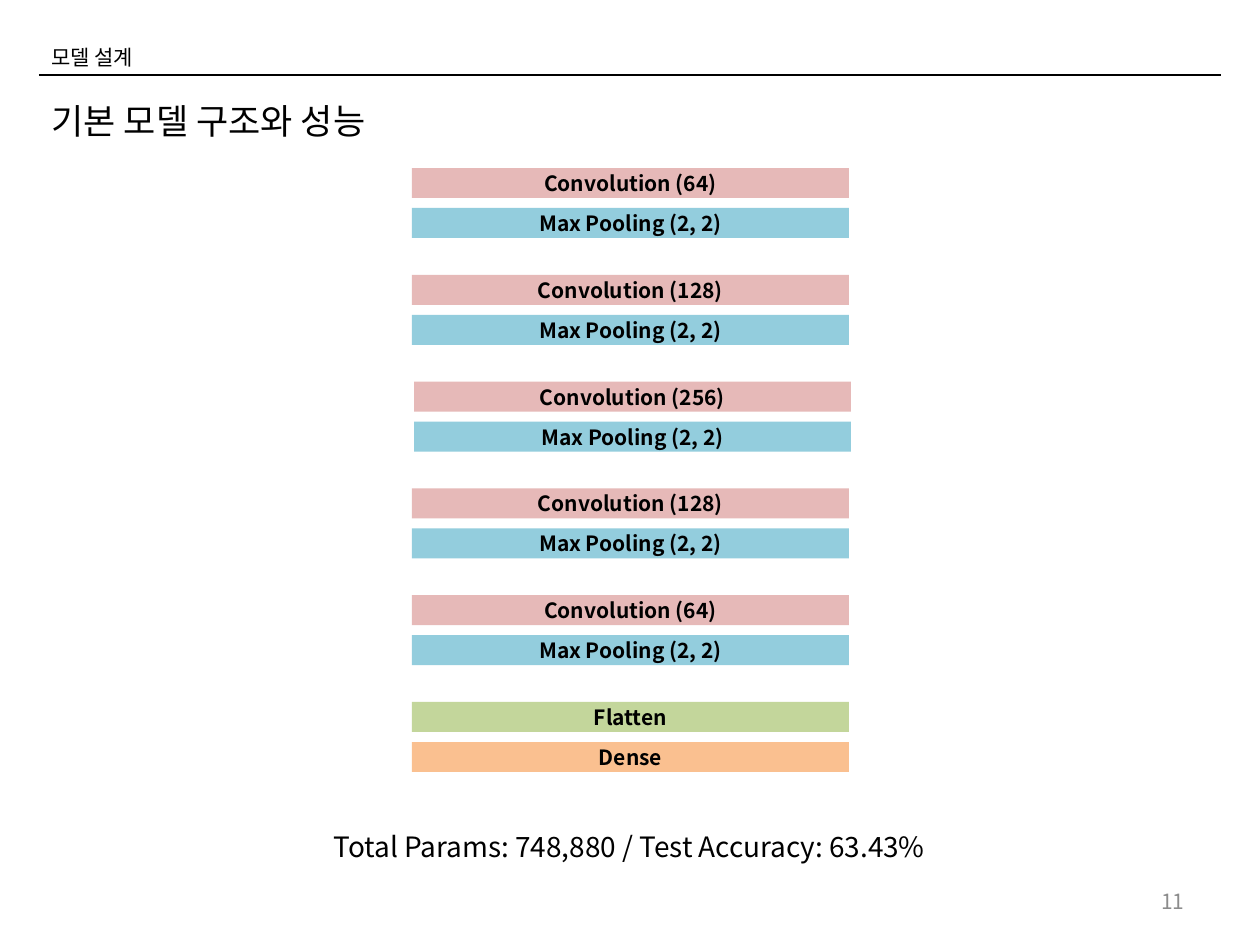
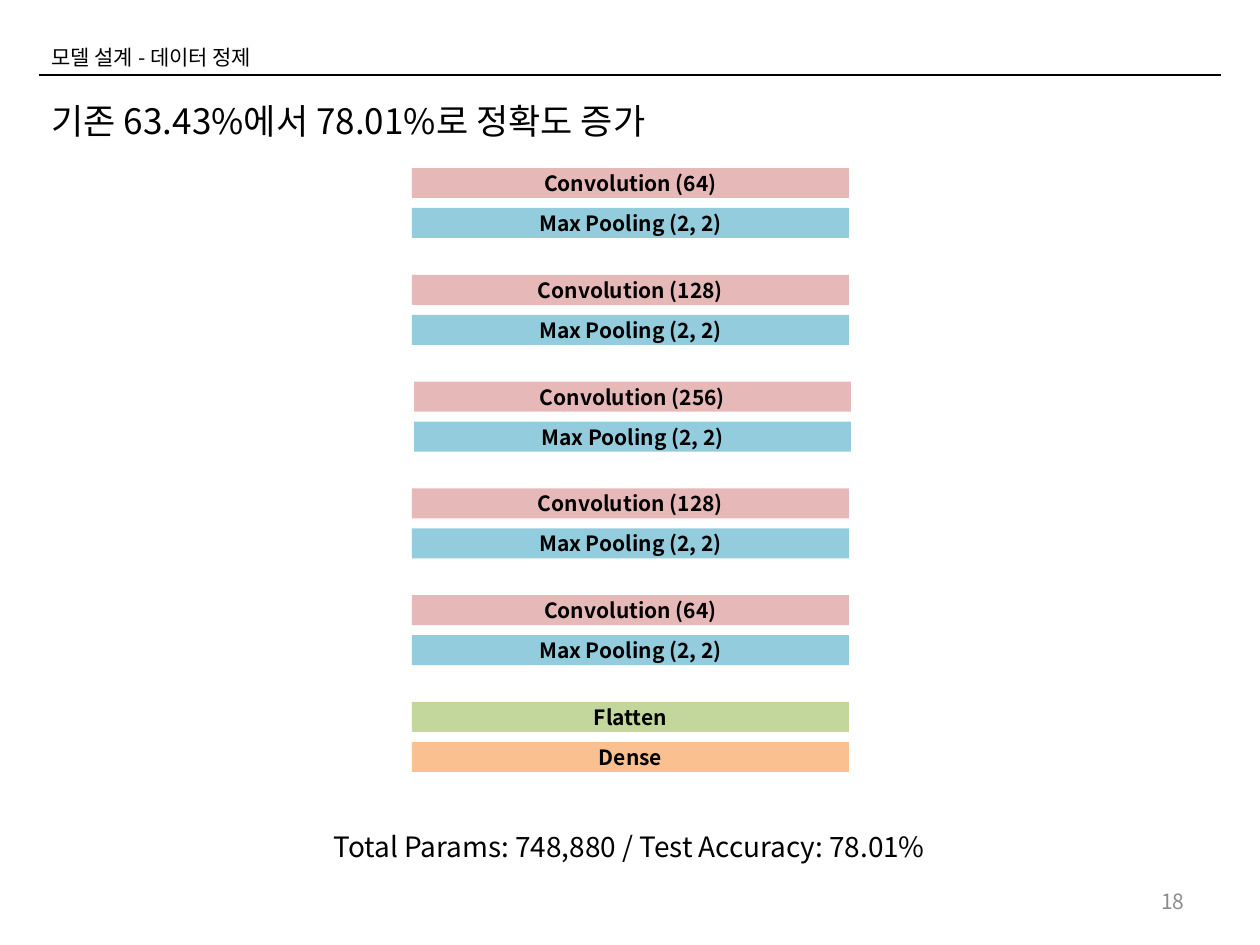
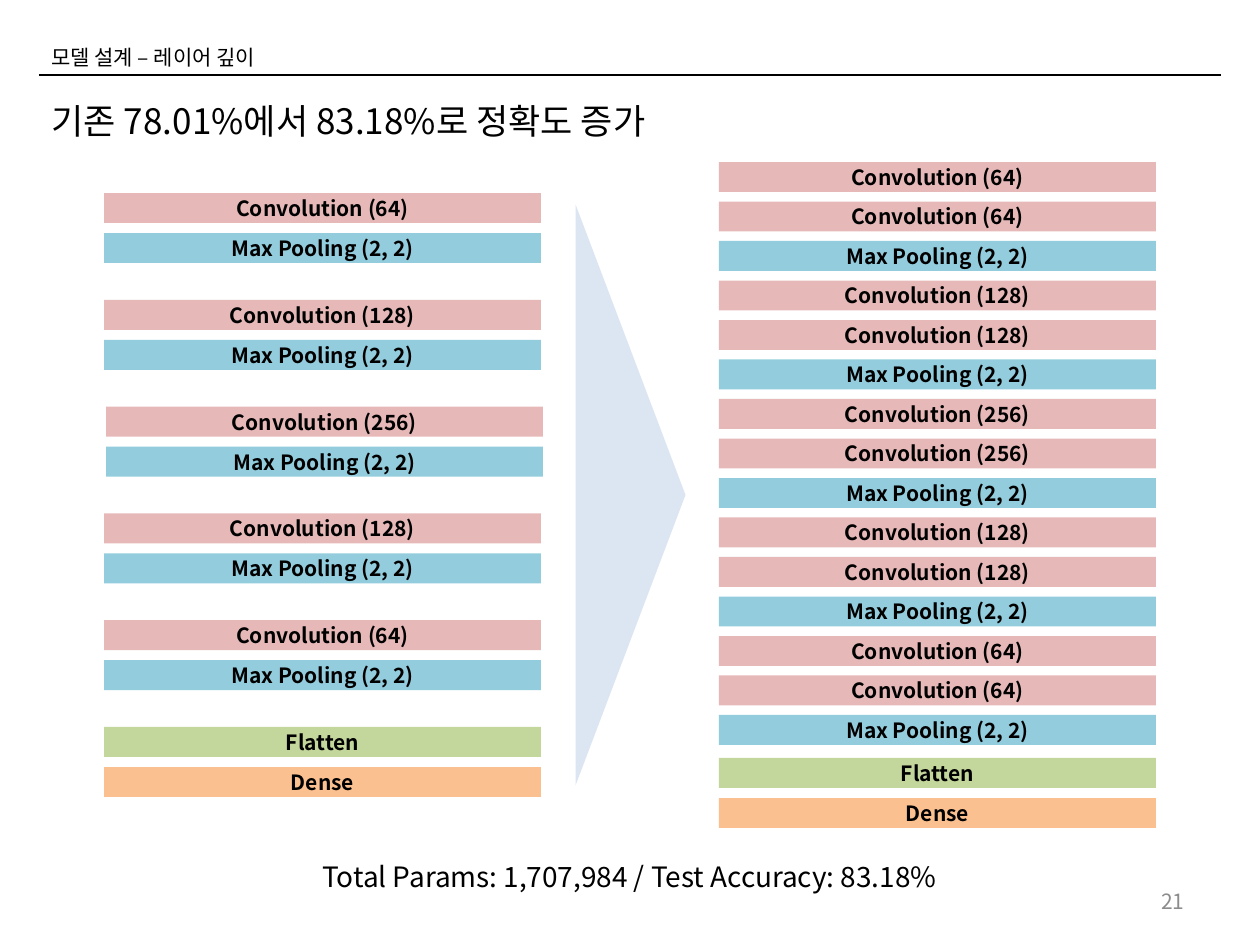
from lxml.etree import SubElement
from pptx import Presentation
from pptx.dml.color import RGBColor
from pptx.enum.shapes import MSO_CONNECTOR, MSO_SHAPE
from pptx.enum.text import MSO_ANCHOR, MSO_AUTO_SIZE, PP_ALIGN
from pptx.oxml.ns import qn
from pptx.util import Emu, Pt

# Shared style
SCALE = 914400 / 126
FONT = "Noto Sans CJK KR"
BLACK = RGBColor(0x00, 0x00, 0x00)
GRAY = RGBColor(0x8C, 0x8C, 0x8C)
PINK = RGBColor(0xE6, 0xB9, 0xB8)
BLUE = RGBColor(0x93, 0xCD, 0xDD)
GREEN = RGBColor(0xC3, 0xD6, 0x9B)
ORANGE = RGBColor(0xFA, 0xC0, 0x90)
PALE_BLUE = RGBColor(0xDC, 0xE6, 0xF2)

TITLE = {"size": Pt(20), "bold": False}
SECTION = {"size": Pt(12)}
RESULT = {"size": Pt(16)}
NUMBER = {"size": Pt(12)}
LAYER = {"size": Pt(12), "bold": True}

# Layer bars
BAR_W, BAR_H = 437, 30
PAIR_STEP = 40
BLOCK_SPAN = 534
FILTERS = [64, 128, 256, 128, 64]
POOLING = ("Max Pooling (2, 2)", BLUE)
ENDING = [("Flatten", GREEN), ("Dense", ORANGE)]


def px(n):
    return Emu(round(n * SCALE))


def convolution(filters):
    return f"Convolution ({filters})", PINK


def write(sp, text, style, color=BLACK, align=PP_ALIGN.LEFT,
          anchor=MSO_ANCHOR.TOP, spacing=None, auto_size=MSO_AUTO_SIZE.NONE):
    tf = sp.text_frame
    frame = {"word_wrap": True, "auto_size": auto_size, "vertical_anchor": anchor}
    for name, value in frame.items():
        setattr(tf, name, value)
    p = tf.paragraphs[0]
    p.alignment = align
    if spacing:
        p.line_spacing = spacing
    r = p.add_run()
    r.text = text
    for name, value in {"name": FONT, **style}.items():
        setattr(r.font, name, value)
    r.font.color.rgb = color
    SubElement(r.font._element, qn("a:ea"), typeface=FONT)


def add_text(s, x, y, w, h, text, style, **options):
    sp = s.shapes.add_textbox(px(x), px(y), px(w), px(h))
    write(sp, text, style, **options)


def add_block(shapes, kind, x, y, w, h, color):
    sp = shapes.add_shape(kind, px(x), px(y), px(w), px(h))
    sp.shadow.inherit = False
    sp.fill.solid()
    sp.fill.fore_color.rgb = color
    sp.line.fill.background()
    return sp


def add_layer(group, x, y, layer):
    text, color = layer
    sp = add_block(group.shapes, MSO_SHAPE.RECTANGLE, x, y, BAR_W, BAR_H, color)
    write(sp, text, LAYER, align=PP_ALIGN.CENTER, anchor=MSO_ANCHOR.MIDDLE)


def add_base_model(s, x, top):
    """Pairs of layers with a gap after each pair."""
    group = s.shapes.add_group_shape()
    blocks = [[convolution(n), POOLING] for n in FILTERS] + [ENDING]
    for i, block in enumerate(blocks):
        left = x + 2 if i == 2 else x
        y = top + i * BLOCK_SPAN / (len(blocks) - 1)
        for j, layer in enumerate(block):
            add_layer(group, left, y + j * PAIR_STEP, layer)


def add_deep_model(s, x, top):
    """Doubled convolutions in one even column."""
    group = s.shapes.add_group_shape()
    layers = [layer for n in FILTERS
              for layer in (convolution(n), convolution(n), POOLING)]
    for i, layer in enumerate(layers):
        add_layer(group, x, top + i * 39.5, layer)
    for i, layer in enumerate(ENDING):
        add_layer(group, x, top + 596 + i * PAIR_STEP, layer)


def add_page(prs, section, title, result, number, result_y=813):
    s = prs.slides.add_slide(prs.slide_layouts[5])
    # Title and section
    sp = s.shapes.title
    sp.left, sp.top, sp.width, sp.height = map(px, (39, 87, 1060, 58))
    grow = {"auto_size": MSO_AUTO_SIZE.SHAPE_TO_FIT_TEXT}
    write(sp, title, TITLE, spacing=1.14, **grow)
    add_text(s, 39, 35, 305, 39, section, SECTION, spacing=1.14, **grow)
    # Header rule
    rule = s.shapes.add_connector(MSO_CONNECTOR.STRAIGHT,
                                  px(39), px(75), px(1221), px(75))
    rule.line.color.rgb = BLACK
    rule.line.width = Pt(0.75)
    SubElement(rule._element.spPr, qn("a:effectLst"))
    # Result and page number
    add_text(s, 122, result_y, 1015, 57, result, RESULT,
             align=PP_ALIGN.CENTER, spacing=1.3, **grow)
    add_text(s, 903, 876, 294, 50, number, NUMBER, color=GRAY,
             align=PP_ALIGN.RIGHT, anchor=MSO_ANCHOR.MIDDLE)
    return s


def main():
    prs = Presentation()
    prs.slide_width, prs.slide_height = px(1260), px(945)

    # Base model
    s = add_page(prs, "모델 설계", "기본 모델 구조와 성능",
                 "Total Params: 748,880 / Test Accuracy: 63.43%", "11")
    add_base_model(s, 412, 168)

    # Cleaned data
    s = add_page(prs, "모델 설계 - 데이터 정제",
                 "기존 63.43%에서 78.01%로 정확도 증가",
                 "Total Params: 748,880 / Test Accuracy: 78.01%", "18")
    add_base_model(s, 412, 168)

    # Deeper layers
    s = add_page(prs, "모델 설계 – 레이어 깊이",
                 "기존 78.01%에서 83.18%로 정확도 증가",
                 "Total Params: 1,707,984 / Test Accuracy: 83.18%", "21",
                 result_y=843)
    add_deep_model(s, 719, 162)
    add_base_model(s, 104, 193)
    arrow = add_block(s.shapes, MSO_SHAPE.ISOSCELES_TRIANGLE,
                      340, 440, 581, 110, PALE_BLUE)
    arrow.rotation = 90

    prs.save("out.pptx")


if __name__ == "__main__":
    main()
